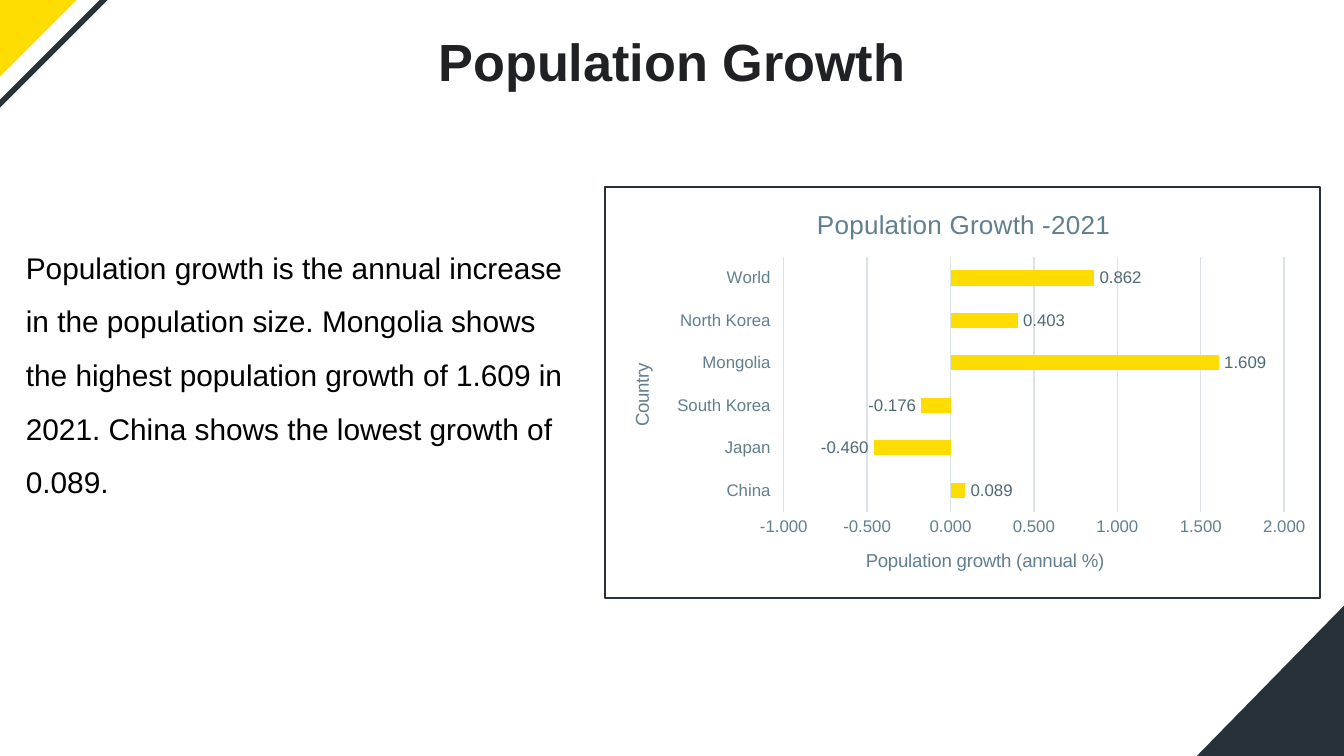
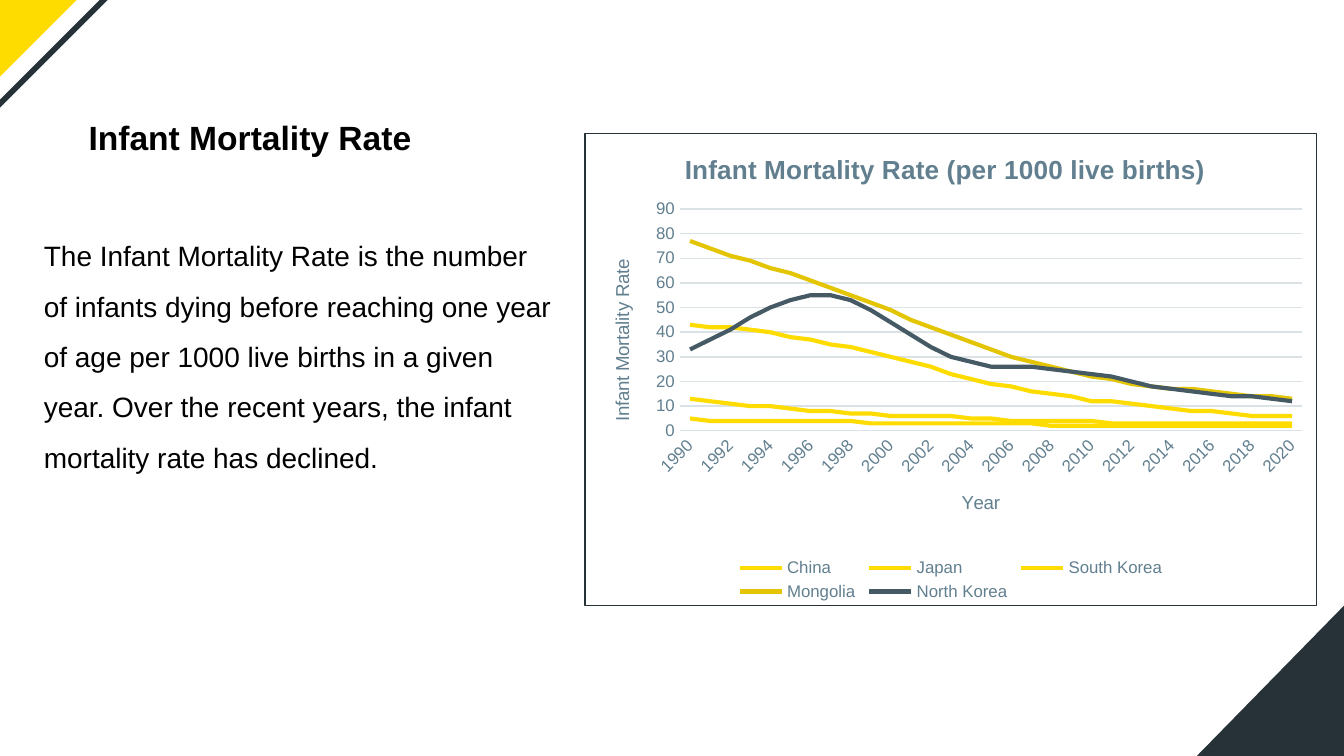
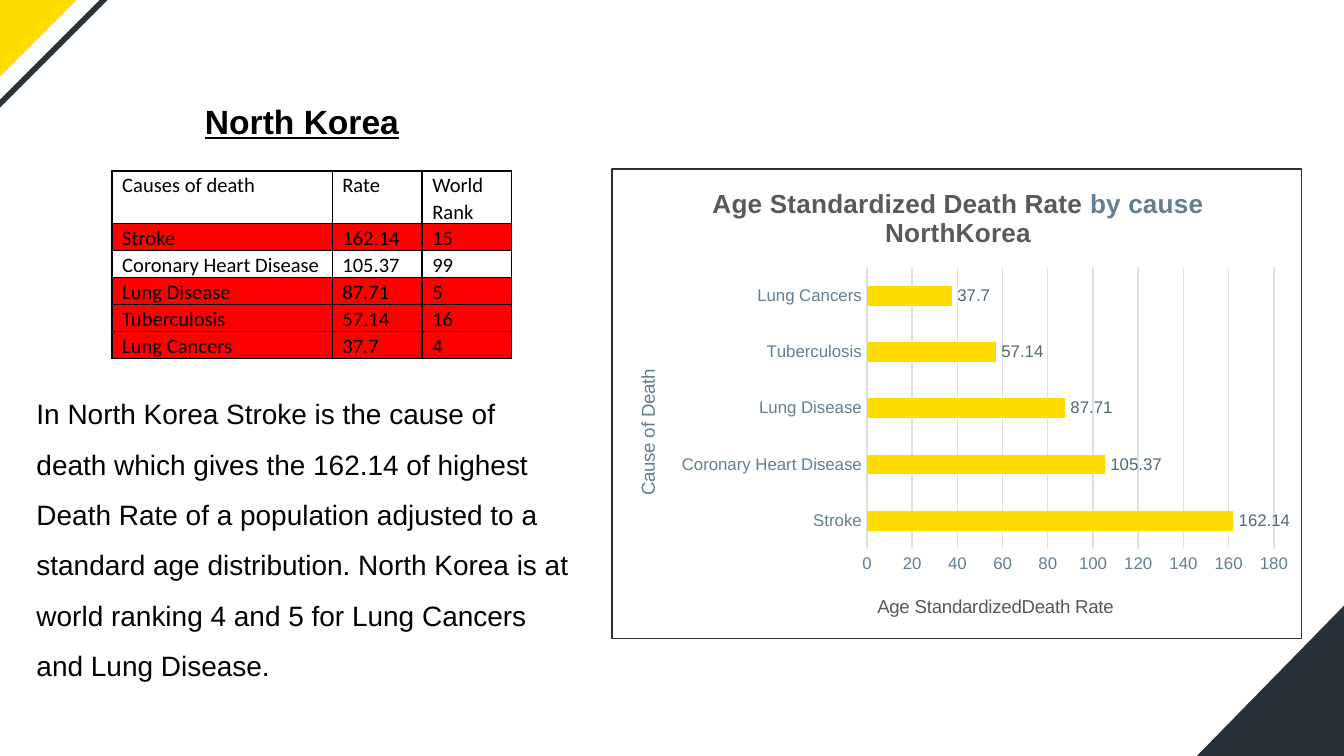
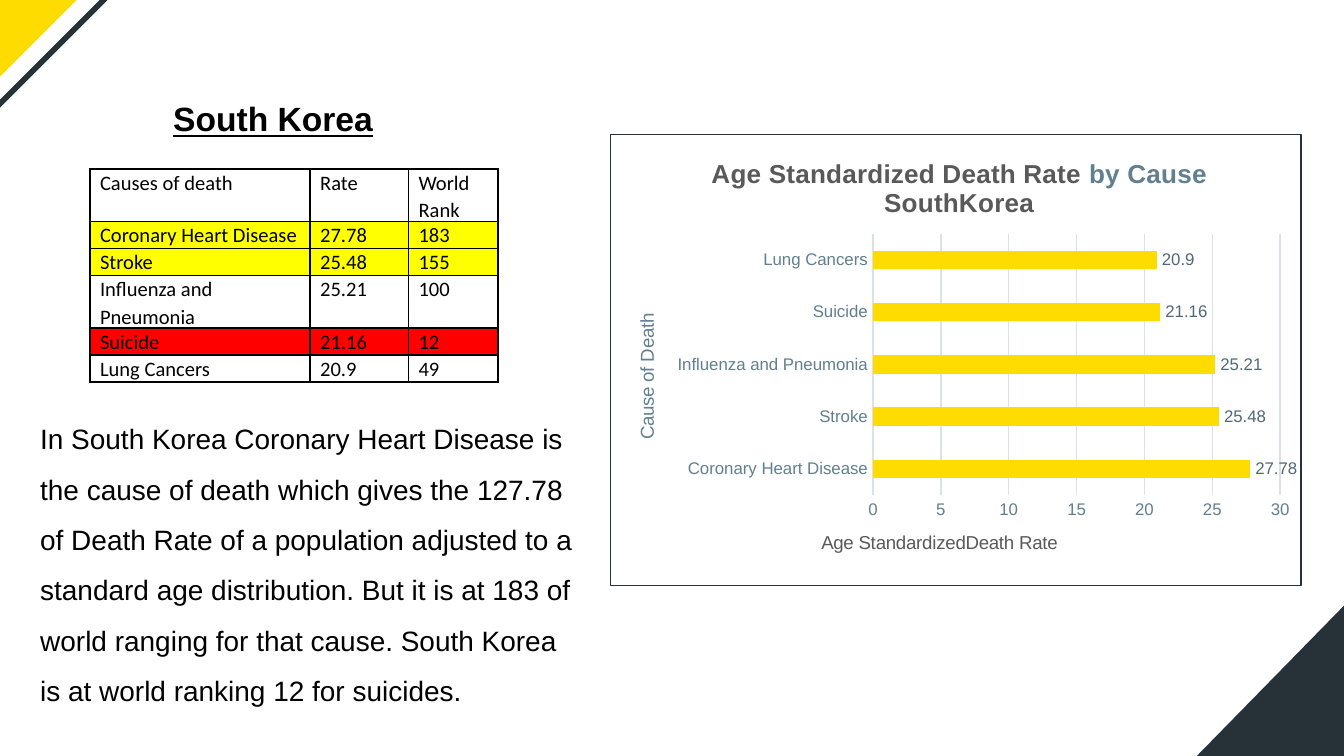
from lxml import etree
from pptx import Presentation
from pptx.chart.data import CategoryChartData as Data
from pptx.dml.color import RGBColor as Rgb
from pptx.enum.chart import XL_CHART_TYPE as Kind
from pptx.enum.chart import XL_LABEL_POSITION as Spot
from pptx.enum.chart import XL_LEGEND_POSITION as Side
from pptx.enum.chart import XL_TICK_LABEL_POSITION as Tick
from pptx.enum.chart import XL_TICK_MARK as Mark
from pptx.enum.text import MSO_ANCHOR as Anchor
from pptx.enum.text import MSO_AUTO_SIZE as Fit
from pptx.enum.text import PP_ALIGN as Align
from pptx.oxml import parse_xml
from pptx.oxml.ns import nsdecls, qn
from pptx.util import Cm, Pt

HUES = {
    "dark": "263238", "gold": "FFDC00", "mustard": "E4C504", "slate": "455A64",
    "steel": "617F8F", "label": "506976", "pale": "DAE2E6", "gray": "595959",
    "ink": "202124", "black": "000000", "red": "FF0000", "yellow": "FFFF00",
}
WIDE, HIGH = 25.4, 14.29


def rgb(hue):
    return Rgb.from_string(HUES[hue])


def style(font, size, hue, name="Arial", bold=False, under=False):
    font.size, font.name, font.bold = Pt(size), name, bold
    font.underline = under
    font.color.rgb = rgb(hue)


def say(frame, text, size=15, hue="black", alt="steel", name="Arial",
        bold=False, under=False, align=None, lead=None):
    for row, line in enumerate(text.split("\n")):
        para = frame.add_paragraph() if row else frame.paragraphs[0]
        if align is not None:
            para.alignment = align
        if lead:
            para.line_spacing = lead
        for turn, part in enumerate(line.split("|")):
            run = para.add_run()
            run.text = part
            style(run.font, size, alt if turn % 2 else hue, name, bold, under)


def head(slide, box, text, inset=0.13, **look):
    title = slide.shapes.title
    title.left, title.top, title.width, title.height = map(Cm, box)
    frame = title.text_frame
    frame.auto_size, frame.word_wrap = Fit.NONE, True
    frame.vertical_anchor = Anchor.TOP
    frame.margin_top = frame.margin_bottom = Cm(inset)
    look = {"size": 18, "bold": True, "align": Align.LEFT} | look
    say(frame, text, **look)


def body(slide, box, text, size=15):
    frame = slide.shapes.add_textbox(*map(Cm, box)).text_frame
    frame.word_wrap = True
    say(frame, text, size=size, lead=1.5)


def wedge(slide, points, fill=None, line=None):
    spots = [(Cm(x), Cm(y)) for x, y in points]
    build = slide.shapes.build_freeform(*spots[0])
    build.add_line_segments(spots[1:], close=True)
    shape = build.convert_to_shape()
    shape.shadow.inherit = False
    if fill:
        shape.fill.solid()
        shape.fill.fore_color.rgb = rgb(fill)
    else:
        shape.fill.background()
    if line:
        shape.line.color.rgb = rgb(line)
        shape.line.width = Pt(3)
    else:
        shape.line.fill.background()
    return shape


def gem(x, y, arm):
    return [(x, y - arm), (x - arm, y), (x, y + arm), (x + arm, y)]


def trim(deck, slide):
    arm, y = 2.06, -0.03
    parts = [
        wedge(slide, [(WIDE, 11.45), (WIDE, HIGH), (22.62, HIGH)], "dark"),
        wedge(slide, gem(-0.58, y, arm), "gold"),
        wedge(slide, gem(-0.07, y, arm), line="dark"),
    ]
    tree = deck.slide_master.shapes.element
    for step, part in enumerate(parts):
        part.element.xpath("./*/p:cNvPr")[0].set("id", str(101 + step))
        tree.insert(2 + step, part.element)


def place(node, spot, slot=1, inner=False):
    for old in node.findall(qn("c:layout")):
        node.remove(old)
    layout = etree.Element(qn("c:layout"))
    manual = etree.SubElement(layout, qn("c:manualLayout"))
    pairs = [("layoutTarget", "inner")] if inner else []
    pairs += [("xMode", "edge"), ("yMode", "edge"), *zip("xywh", spot)]
    for tag, val in pairs:
        etree.SubElement(manual, qn("c:" + tag)).set("val", str(val))
    node.insert(slot, layout)


def label(owner, text, spot, **look):
    say(owner.text_frame, text, **look)
    place(owner.element, spot)


def axis(part, text, spot, hue="steel"):
    part.has_title = True
    label(part.axis_title, text, spot, size=10, hue=hue)
    part.major_tick_mark = part.minor_tick_mark = Mark.NONE
    style(part.tick_labels.font, 9, "steel")


def graph(slide, box, kind, cats, sets, title, x_name, y_name, plot, scale,
          bold=True, hue="steel", y_hue="steel", form="General"):
    data = Data()
    data.categories = cats
    for name, vals in sets:
        data.add_series(name, vals)
    chart = slide.shapes.add_chart(kind, *map(Cm, box), data).chart
    style(chart.font, 10, "dark")
    chart.has_legend = False
    chart.has_title = True
    label(chart.chart_title, *title, size=14, hue=hue, bold=bold,
          align=Align.CENTER)
    axis(chart.category_axis, *x_name)
    chart.category_axis.format.line.color.rgb = rgb("pale")
    chart.category_axis.has_major_gridlines = False
    value = chart.value_axis
    axis(value, *y_name, hue=y_hue)
    value.format.line.fill.background()
    value.minimum_scale, value.maximum_scale, value.major_unit = scale
    value.has_major_gridlines = True
    grid = value.major_gridlines.format.line
    grid.color.rgb, grid.width = rgb("pale"), Pt(0.75)
    value.tick_labels.number_format = form
    value.tick_labels.number_format_is_linked = False
    chart.plots[0].vary_by_categories = False
    place(chart.element.find(".//" + qn("c:plotArea")), plot, 0, True)
    chart.element.find(qn("c:chart")).addnext(parse_xml(
        f'<c:spPr {nsdecls("c", "a")}><a:noFill/><a:ln w="9525"><a:solidFill>'
        f'<a:srgbClr val="{HUES["dark"]}"/></a:solidFill></a:ln></c:spPr>'))
    return chart


def bars(slide, box, cats, name, vals, form="General", **look):
    chart = graph(slide, box, Kind.BAR_CLUSTERED, cats, [(name, vals)],
                  form=form, **look)
    plot = chart.plots[0]
    plot.gap_width = 182
    row = plot.series[0]
    row.invert_if_negative = False
    row.format.fill.solid()
    row.format.fill.fore_color.rgb = rgb("gold")
    plot.has_data_labels = True
    tags = plot.data_labels
    tags.show_value, tags.position = True, Spot.OUTSIDE_END
    tags.number_format, tags.number_format_is_linked = form, False
    style(tags.font, 9, "label")
    return chart


def lines(slide, box, cats, sets, hues, key, **look):
    chart = graph(slide, box, Kind.LINE, cats, sets, **look)
    for row, hue in zip(chart.plots[0].series, hues):
        row.smooth = False
        row.format.line.color.rgb = rgb(hue)
        row.format.line.width = Pt(2.25)
    turn = "/".join(map(qn, ("c:catAx", "c:txPr", "a:bodyPr")))
    chart.element.find(".//" + turn).set("rot", "-2700000")
    chart.has_legend = True
    chart.legend.position = Side.BOTTOM
    chart.legend.include_in_layout = False
    style(chart.legend.font, 9, "steel")
    place(chart.element.find(".//" + qn("c:legend")), key)


def edge(cell):
    props = cell._tc.get_or_add_tcPr()
    for slot, side in enumerate("LRTB"):
        props.insert(slot, parse_xml(
            f'<a:ln{side} {nsdecls("a")} w="12700"><a:solidFill>'
            f'<a:srgbClr val="{HUES["black"]}"/></a:solidFill></a:ln{side}>'))


def table(slide, spot, cols, rows, fills):
    tall = 0.51
    grid = slide.shapes.add_table(
        len(rows), len(cols), *map(Cm, spot), Cm(sum(cols)),
        Cm(tall * len(rows))).table
    grid.first_row = grid.horz_banding = False
    for col, wide in zip(grid.columns, cols):
        col.width = Cm(wide)
    for line, texts, hue in zip(grid.rows, rows, fills):
        line.height = Cm(tall)
        for cell, text in zip(line.cells, texts):
            cell.margin_left = cell.margin_right = Cm(0.19)
            cell.margin_top = cell.margin_bottom = 0
            say(cell.text_frame, text, size=11, name="Calibri", lead=1.07)
            if hue:
                cell.fill.solid()
                cell.fill.fore_color.rgb = rgb(hue)
            else:
                cell.fill.background()
            edge(cell)


def growth(slide):
    head(slide, (0, 0.3, WIDE, 1.57), "Population Growth", inset=0.25,
         size=28, hue="ink", align=Align.CENTER)
    body(slide, (0.24, 4.25, 10.82, 5.99),
         "Population growth is the annual increase in the population size. "
         "Mongolia shows the highest population growth of 1.609 in 2021. "
         "China shows the lowest growth of 0.089.", size=16)
    name = "Population Growth -2021"
    chart = bars(
        slide, (11.42, 3.52, 13.54, 7.8),
        ["China", "Japan", "South Korea", "Mongolia", "North Korea", "World"],
        name, [0.089, -0.46, -0.176, 1.609, 0.403, 0.862], form="0.000",
        title=(name, (0.29, 0.04)), bold=False,
        x_name=("Country", (0.03, 0.42)),
        y_name=("Population growth (annual %)", (0.36, 0.87)),
        plot=(0.25, 0.17, 0.7, 0.62), scale=(-1, 2, 0.5))
    chart.category_axis.tick_label_position = Tick.LOW


def infant(slide):
    head(slide, (1.42, 2.08, 8, 1.2), "Infant Mortality Rate")
    body(slide, (0.58, 4.07, 10.16, 6.15),
         "The Infant Mortality Rate is the number of infants dying before "
         "reaching one year of age per 1000 live births in a given year. "
         "Over the recent years, the infant mortality rate has declined.")
    sets = [
        ("China", [43, 42, 42, 41, 40, 38, 37, 35, 34, 32, 30, 28, 26, 23, 21,
                   19, 18, 16, 15, 14, 12, 12, 11, 10, 9, 8, 8, 7, 6, 6, 6]),
        ("Japan", [5] + [4] * 8 + [3] * 9 + [2] * 13),
        ("South Korea", [13, 12, 11, 10, 10, 9, 8, 8, 7, 7, 6, 6, 6, 6, 5, 5]
         + [4] * 5 + [3] * 10),
        ("Mongolia", [77, 74, 71, 69, 66, 64, 61, 58, 55, 52, 49, 45, 42, 39,
                      36, 33, 30, 28, 26, 24, 22, 21, 19, 18, 17, 17, 16, 15,
                      14, 14, 13]),
        ("North Korea", [33, 37, 41, 46, 50, 53, 55, 55, 53, 49, 44, 39, 34,
                         30, 28, 26, 26, 26, 25, 24, 23, 22, 20, 18, 17, 16,
                         15, 14, 14, 13, 12]),
    ]
    lines(slide, (11.04, 2.51, 13.86, 8.95),
          [str(year) for year in range(1990, 2021)], sets,
          ["gold"] * 3 + ["mustard", "slate"], key=(0.2, 0.89, 0.6, 0.11),
          title=("Infant Mortality Rate (per 1000 live births)", (0.13, 0.03)),
          x_name=("Year", (0.51, 0.75)),
          y_name=("Infant Mortality Rate", (0.03, 0.26)),
          plot=(0.13, 0.16, 0.85, 0.47), scale=(0, 90, 10))


def deaths(slide, top, note, grid, chart):
    head(slide, *top, under=True)
    body(slide, *note)
    spot, cols, rows, fills = grid
    names = ("Causes of death", "Rate", "World Rank")
    table(slide, spot, cols, [names, *rows], [None, *fills])
    box, title, x_spot, y_spot, plot, scale = chart
    bars(slide, box, [row[0] for row in rows], "Series 1",
         [float(row[1]) for row in rows], title=title, hue="gray",
         y_hue="gray", x_name=("Cause of Death", x_spot),
         y_name=("Age StandardizedDeath Rate", y_spot),
         plot=plot, scale=scale)


def north(slide):
    rows = [("Stroke", "162.14", "15"),
            ("Coronary Heart Disease", "105.37", "99"),
            ("Lung Disease", "87.71", "5"),
            ("Tuberculosis", "57.14", "16"),
            ("Lung Cancers", "37.7", "4")]
    note = ("In North Korea Stroke is the cause of death which gives the "
            "162.14 of highest Death Rate of a population adjusted to a "
            "standard age distribution. North Korea is at world ranking 4 "
            "and 5 for Lung Cancers and Lung Disease.")
    title = "Age Standardized Death Rate |by cause\nNorthKorea"
    deaths(slide, top=((3.62, 1.78, 5, 1.02), "North Korea"),
           note=((0.44, 7.06, 10.59, 5.92), note),
           grid=((2.12, 3.23), (4.16, 1.7, 1.69), rows,
                 ["red", None, "red", "red", "red"]),
           chart=((11.55, 3.18, 13.06, 8.9), (title, (0.14, 0.03)),
                  (0.03, 0.42), (0.38, 0.9), (0.37, 0.21, 0.59, 0.6),
                  (0, 180, 20)))


def south(slide):
    rows = [("Coronary Heart Disease", "27.78", "183"),
            ("Stroke", "25.48", "155"),
            ("Influenza and Pneumonia", "25.21", "100"),
            ("Suicide", "21.16", "12"),
            ("Lung Cancers", "20.9", "49")]
    note = ("In South Korea Coronary Heart Disease is the cause of death "
            "which gives the 127.78 of Death Rate of a population adjusted "
            "to a standard age distribution. But it is at 183 of world "
            "ranging for that cause. South Korea is at world ranking 12 for "
            "suicides.")
    title = "Age Standardized Death Rate |by Cause\nSouthKorea"
    deaths(slide, top=((3.02, 1.73, 5, 1.02), "South Korea"),
           note=((0.51, 7.53, 10.59, 6.02), note),
           grid=((1.7, 3.19), (4.16, 1.86, 1.69), rows,
                 ["yellow", "yellow", None, "red", None]),
           chart=((11.53, 2.53, 13.07, 8.55), (title, (0.14, 0.04)),
                  (0.03, 0.39), (0.3, 0.87), (0.38, 0.22, 0.59, 0.58),
                  (0, 30, 5)))


def main():
    deck = Presentation()
    deck.slide_width, deck.slide_height = Cm(WIDE), Cm(HIGH)
    for step, draw in enumerate((growth, infant, north, south)):
        slide = deck.slides.add_slide(deck.slide_layouts[5])
        if not step:
            trim(deck, slide)
        draw(slide)
    deck.save("out.pptx")


if __name__ == "__main__":
    main()
